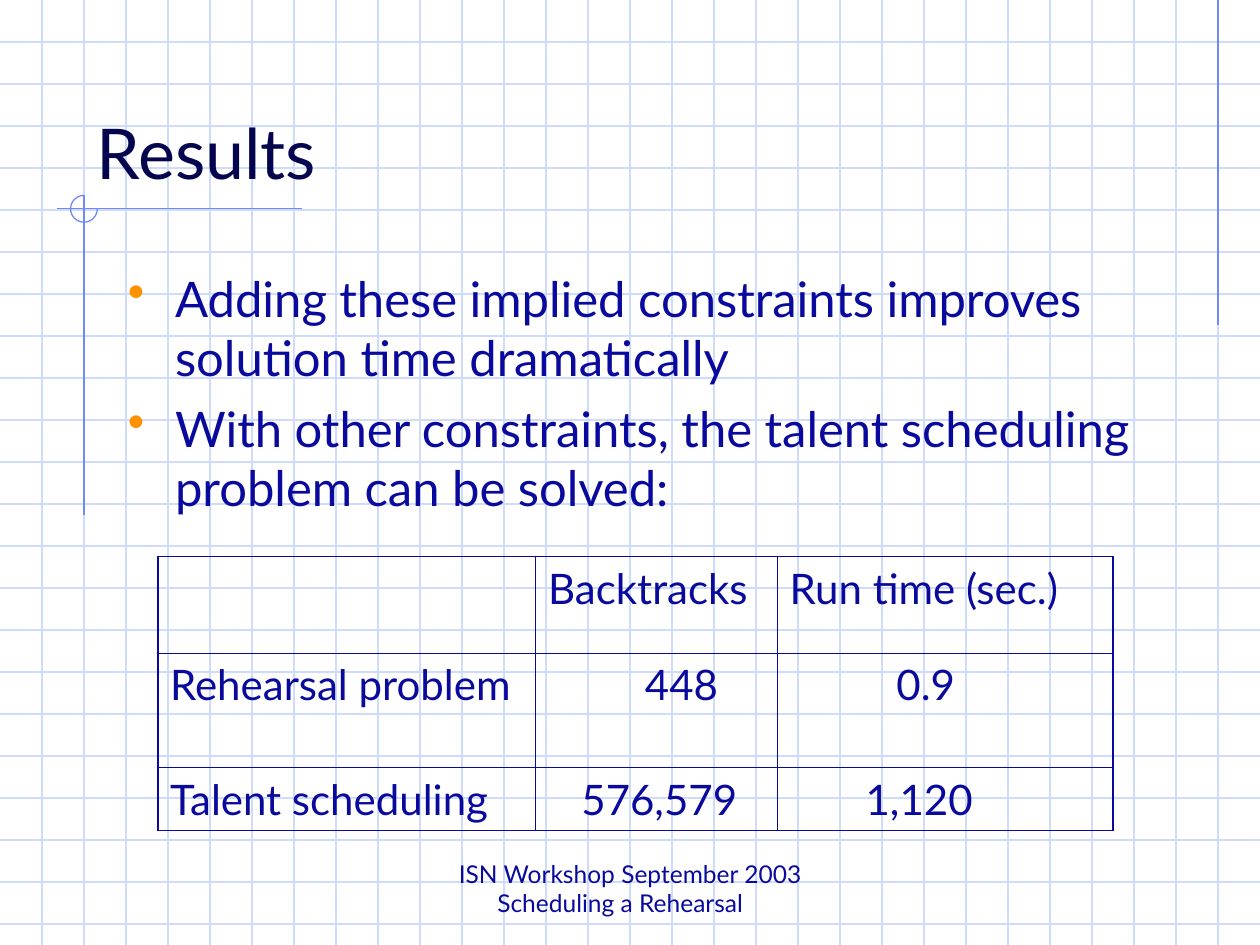
from lxml.etree import SubElement
from pptx import Presentation
from pptx.dml.color import RGBColor
from pptx.enum.shapes import MSO_CONNECTOR, MSO_SHAPE
from pptx.enum.text import MSO_ANCHOR, PP_ALIGN
from pptx.oxml.ns import qn
from pptx.util import Cm, Pt

NAVY = RGBColor(0x09, 0x09, 0x9D)
DARK = RGBColor(0x05, 0x05, 0x4F)
GRID = RGBColor(0xCF, 0xDB, 0xFD)
ACCENT = RGBColor(0x6F, 0x89, 0xF7)
ORANGE = RGBColor(0xFD, 0x92, 0x03)
SHADE = RGBColor(0xC4, 0xC4, 0xDC)
FONT = "Lato"
WIDE, HIGH = 25.4, 19.05


def tag(parent, name, **attrs):
    return SubElement(parent, qn(name), {k: str(v) for k, v in attrs.items()})


def paint(parent, color):
    tag(tag(parent, "a:solidFill"), "a:srgbClr", val=color)


def write(frame, lines, size, color=NAVY, align=PP_ALIGN.LEFT, before=0,
          anchor=MSO_ANCHOR.TOP, bullet=None, shadow=None):
    frame.word_wrap = True
    frame.vertical_anchor = anchor
    for i, line in enumerate(lines):
        para = frame.paragraphs[0] if i == 0 else frame.add_paragraph()
        para.alignment = align
        para.space_before = Pt(before)
        run = para.add_run()
        run.text = line
        run.font.name, run.font.size = FONT, Pt(size)
        run.font.color.rgb = color
        if bullet:
            props = para._p.get_or_add_pPr()
            props.set("marL", str(Cm(0.95)))
            props.set("indent", str(-Cm(0.95)))
            tag(tag(props, "a:buClr"), "a:srgbClr", val=bullet)
            tag(props, "a:buChar", char="•")
        if shadow:
            # The effect list belongs between the fill and the typeface
            props = run._r.get_or_add_rPr()
            effect = tag(props, "a:effectLst")
            cast = tag(effect, "a:outerShdw", dist=Pt(2), dir=2700000)
            tag(cast, "a:srgbClr", val=shadow)
            props.find(qn("a:latin")).addprevious(effect)


def textbox(slide, box, lines, size, **fmt):
    frame = slide.shapes.add_textbox(*map(Cm, box)).text_frame
    write(frame, lines, size, **fmt)
    return frame


def rule(slide, x1, y1, x2, y2, color):
    line = slide.shapes.add_connector(
        MSO_CONNECTOR.STRAIGHT, *map(Cm, (x1, y1, x2, y2)))
    line.line.color.rgb = color
    line.line.width = Pt(0.75)
    tag(line._element.spPr, "a:effectLst")


def draw_grid(slide, x, y, w, h):
    step = w / 30
    for i in range(1, int(h / step) + 1):
        rule(slide, x, y + i * step, x + w, y + i * step, GRID)
    for i in range(1, 30):
        rule(slide, x + i * step, y, x + i * step, y + h, GRID)


def draw_marks(slide, x, y, w, h):
    # Margin line at the right, crosshair under the title
    step = w / 30
    rule(slide, x + w - step, y, x + w - step, y + 6.55, ACCENT)
    cx, cy, rad = x + 2 * step, y + 4.21, 0.27
    rule(slide, cx - 0.55, cy, cx + 4.4, cy, ACCENT)
    rule(slide, cx, cy - rad, cx, cy + 6.18, ACCENT)
    arc = slide.shapes.add_shape(
        MSO_SHAPE.ARC, *map(Cm, (cx - rad, cy - rad, 2 * rad, 2 * rad)))
    arc.adjustments[0], arc.adjustments[1] = 0, 162  # 0 to 270 degrees
    arc.shadow.inherit = False
    arc.fill.background()
    arc.line.color.rgb = ACCENT
    arc.line.width = Pt(0.75)


def edge(cell, row, col, last):
    # Outer edges are heavier than inner ones
    props = cell._tc.get_or_add_tcPr()
    outer = {"L": col == 0, "R": col == last, "T": row == 0, "B": row == last}
    for i, (side, heavy) in enumerate(outer.items()):
        line = tag(props, "a:ln" + side, w=Pt(1.08 if heavy else 0.45))
        paint(line, NAVY)
        props.insert(i, line)


def draw_table(slide, x, y, w, h):
    # Each cell: text and left margin
    pad = 0.25
    rows = [
        [("", pad), ("Backtracks", pad), ("Run time (sec.)", pad)],
        [("Rehearsal problem", pad), ("448", 2.2), ("0.9", 2.4)],
        [("Talent scheduling", pad), ("576,579", 0.92), ("1,120", 1.78)],
    ]
    table = slide.shapes.add_table(3, 3, *map(Cm, (x, y, w, h))).table
    table.first_row = table.horz_banding = False
    for col, part in zip(table.columns, (7.62, 4.87, 6.77)):
        col.width = Cm(part)
    for row, part in zip(table.rows, (1.95, 2.3, 1.27)):
        row.height = Cm(part)
    for r, row in enumerate(rows):
        for c, (text, left) in enumerate(row):
            cell = table.cell(r, c)
            cell.fill.background()
            cell.margin_left = Cm(left)
            edge(cell, r, c, 2)
            if text:
                write(cell.text_frame, [text], 24, before=6)


def draw_footer(slide, x, y, w, h):
    frame = textbox(
        slide, (x, y, w, h),
        ["ISN Workshop September 2003", "Scheduling a Rehearsal"], 14,
        align=PP_ALIGN.CENTER, anchor=MSO_ANCHOR.BOTTOM)
    # The second line sits slightly left of centre
    frame.paragraphs[1]._p.get_or_add_pPr().set("marR", str(Cm(0.4)))


def main():
    deck = Presentation()
    deck.slide_width, deck.slide_height = Cm(WIDE), Cm(HIGH)
    slide = deck.slides.add_slide(deck.slide_layouts[6])
    draw_grid(slide, 0, 0, WIDE, HIGH)
    draw_marks(slide, 0, 0, WIDE, HIGH)
    draw_footer(slide, 8.68, 17.35, 8.05, 1.27)
    # Title
    textbox(slide, (1.7, 0.85, 21.6, 3.17), ["Results"], 40, color=DARK,
            anchor=MSO_ANCHOR.BOTTOM, shadow=SHADE)
    # Bullets
    textbox(slide, (2.33, 5.29, 21.6, 11.43), [
        "Adding these implied constraints improves solution time dramatically",
        "With other constraints, the talent scheduling problem can be solved:",
    ], 28, before=7, bullet=ORANGE)
    draw_table(slide, 3.18, 11.22, 19.26, 5.52)
    deck.save("out.pptx")


if __name__ == "__main__":
    main()
